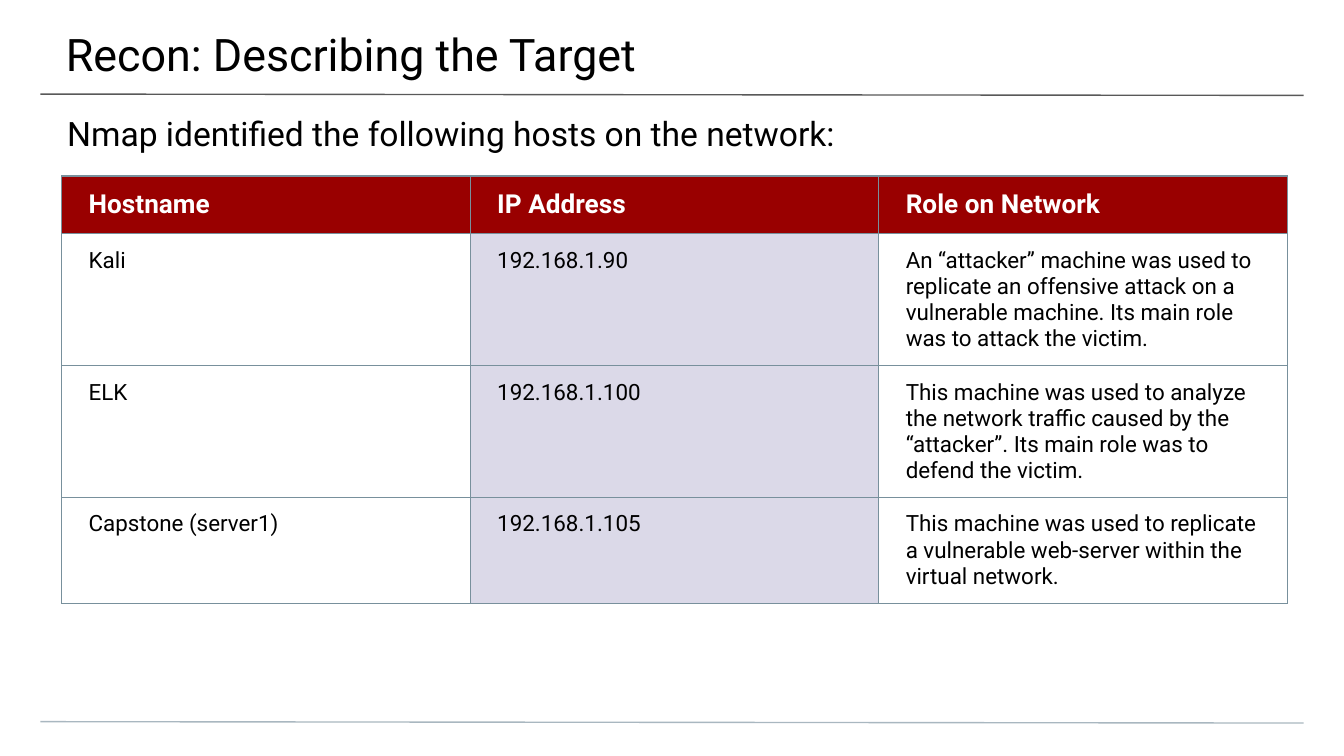
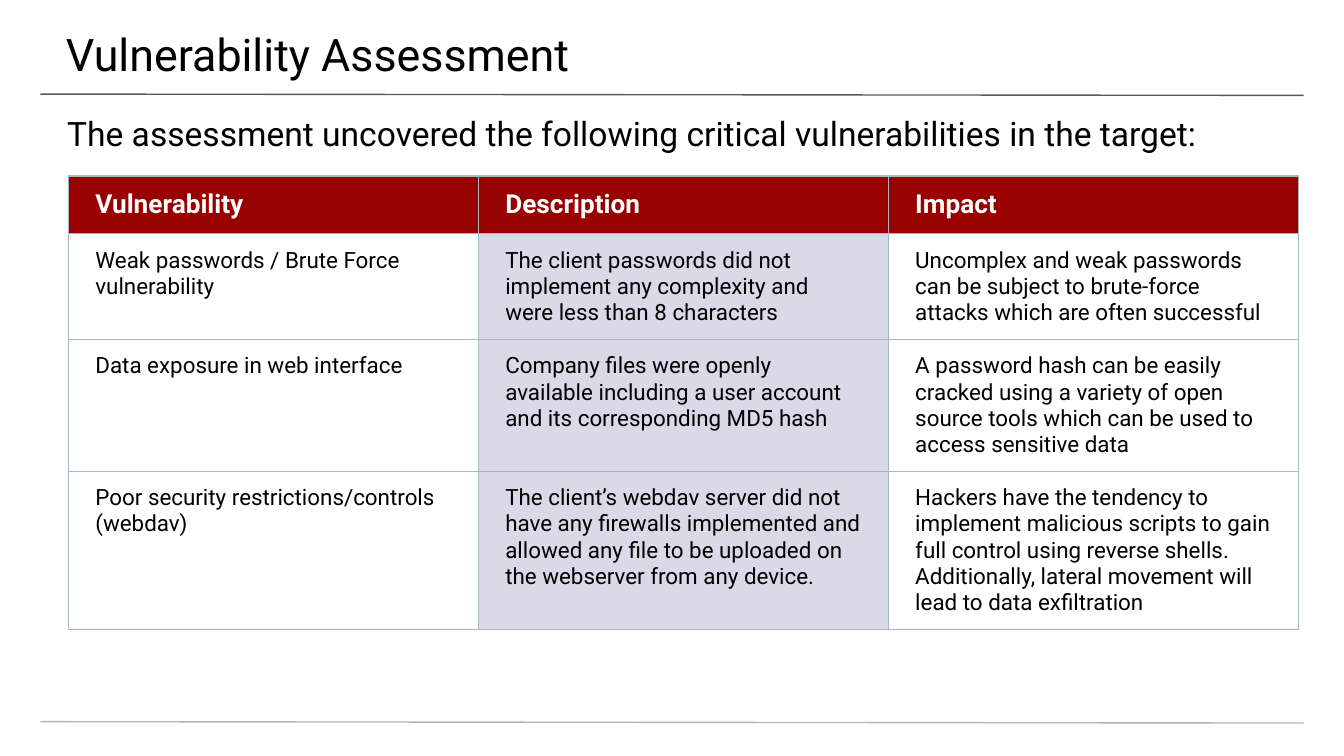
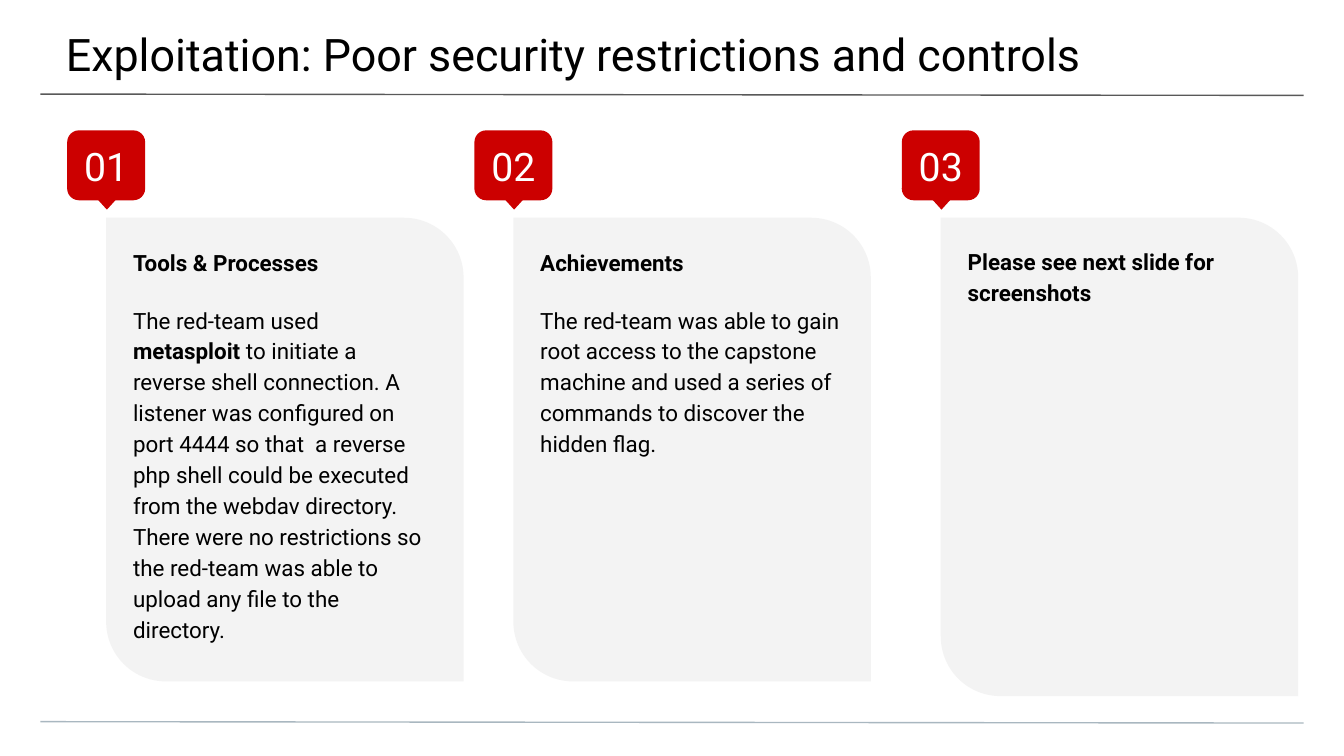
from dataclasses import dataclass

from lxml.etree import SubElement
from pptx import Presentation
from pptx.dml.color import RGBColor
from pptx.enum.shapes import MSO_CONNECTOR, MSO_SHAPE
from pptx.enum.text import MSO_ANCHOR, MSO_AUTO_SIZE, PP_ALIGN
from pptx.oxml.ns import qn
from pptx.util import Emu, Pt

EMU_PER_PX = 9144  # 100 px to the inch
PAGE_WIDTH = 1000
NO_TABLE_STYLE = "{2D5ABB26-0587-4C30-8999-92F81FD0307C}"
BORDER_SIDES = ("a:lnL", "a:lnR", "a:lnT", "a:lnB")


@dataclass(frozen=True)
class Theme:
    font: str = "Roboto"
    ink: str = "000000"
    paper: str = "FFFFFF"
    title_rule: str = "595959"
    footer_rule: str = "A9B7C0"
    header: str = "990000"
    middle_column: str = "DBD9E8"
    card: str = "F3F3F3"
    badge: str = "CC0000"
    title_size: int = 24
    badge_size: int = 21
    subtitle_size: int = 18
    header_size: int = 14
    body_size: int = 12
    rule_width: float = 0.75
    card_line_spacing: float = 1.15
    heading_gap: float = 14.5


THEME = Theme()


@dataclass(frozen=True)
class Area:
    left: int
    top: int
    width: int
    height: int

    def emu(self) -> list[Emu]:
        return [px(n) for n in (self.left, self.top, self.width, self.height)]


@dataclass(frozen=True)
class Span:
    text: str
    bold: bool = False


@dataclass(frozen=True)
class TablePage:
    title: str
    subtitle: str
    left: int
    column_width: int
    row_heights: tuple[int, ...]
    border: str
    rows: tuple[tuple[str, ...], ...]


@dataclass(frozen=True)
class Card:
    number: str
    left: int
    height: int
    text_width: int
    paragraphs: tuple[tuple[Span, ...], ...]


TABLE_PAGES = (
    TablePage(
        "Recon: Describing the Target",
        "Nmap identified the following hosts on the network:",
        46, 304, (41, 96, 96, 79), "78909C",
        (
            ("Hostname", "IP Address", "Role on Network"),
            ("Kali", "192.168.1.90",
             "An “attacker” machine was used to replicate an offensive attack on a "
             "vulnerable machine. Its main role was to attack the victim."),
            ("ELK", "192.168.1.100",
             "This machine was used to analyze the network traffic caused by the "
             "“attacker”. Its main role was to defend the victim."),
            ("Capstone (server1)", "192.168.1.105",
             "This machine was used to replicate a vulnerable web-server within the "
             "virtual network."),
        ),
    ),
    TablePage(
        "Vulnerability Assessment",
        "The assessment uncovered the following critical vulnerabilities in the target:",
        51, 305, (30, 55, 68, 82), THEME.footer_rule,
        (
            ("Vulnerability", "Description", "Impact"),
            ("Weak passwords / Brute Force vulnerability",
             "The client passwords did not implement any complexity and were less than "
             "8 characters",
             "Uncomplex and weak passwords can be subject to brute-force attacks which "
             "are often successful"),
            ("Data exposure in web interface",
             "Company files were openly available including a user account and its "
             "corresponding MD5 hash",
             "A password hash can be easily cracked using a variety of open source tools "
             "which can be used to access sensitive data"),
            ("Poor security restrictions/controls (webdav)",
             "The client’s webdav server did not have any firewalls implemented and "
             "allowed any file to be uploaded on the webserver from any device.",
             "Hackers have the tendency to implement malicious scripts to gain full "
             "control using reverse shells. Additionally, lateral movement will lead to "
             "data exfiltration"),
        ),
    ),
)

CARDS_TITLE = "Exploitation: Poor security restrictions and controls"
CARDS = (
    Card("01", 79, 345, 259, (
        (Span("Tools & Processes", True),),
        (Span("The red-team used "), Span("metasploit ", True),
         Span("to initiate a reverse shell connection. A listener was configured on port "
              "4444 so that  a reverse php shell could be executed from the webdav "
              "directory. There were no restrictions so the red-team was able to upload "
              "any file to the directory.")),
    )),
    Card("02", 382, 345, 266, (
        (Span("Achievements", True),),
        (Span("The red-team was able to gain root access to the capstone machine and used "
              "a series of commands to discover the hidden flag."),),
    )),
    Card("03", 700, 356, 259, (
        (Span("Please see next slide for screenshots", True),),
    )),
)


def px(length: int) -> Emu:
    return Emu(length * EMU_PER_PX)


def color(code: str) -> RGBColor:
    return RGBColor.from_string(code)


def add_span(para, span: Span, size: int, ink: str = THEME.ink) -> None:
    run = para.add_run()
    run.text = span.text
    run.font.name = THEME.font
    run.font.size = Pt(size)
    run.font.bold = span.bold
    run.font.color.rgb = color(ink)


def set_margins(holder, left: int, top: int, right: int, bottom: int) -> None:
    """Inset the text of a text frame or a table cell."""
    holder.margin_left, holder.margin_top = px(left), px(top)
    holder.margin_right, holder.margin_bottom = px(right), px(bottom)


def prepare_frame(box, margins: tuple[int, int, int, int], anchor=MSO_ANCHOR.TOP):
    frame = box.text_frame
    frame.word_wrap = True
    frame.auto_size = MSO_AUTO_SIZE.NONE
    frame.vertical_anchor = anchor
    set_margins(frame, *margins)
    return frame


def add_rule(page, top: int, ink: str) -> None:
    """Draw a page-wide line that falls by one px."""
    rule = page.shapes.add_connector(
        MSO_CONNECTOR.STRAIGHT, px(30), px(top), px(PAGE_WIDTH - 30), px(top + 1))
    rule.line.color.rgb = color(ink)
    rule.line.width = Pt(THEME.rule_width)
    SubElement(rule.element.spPr, qn("a:effectLst"))


def add_page(deck, title: str):
    page = deck.slides.add_slide(deck.slide_layouts[5])
    add_rule(page, 70, THEME.title_rule)
    add_rule(page, 537, THEME.footer_rule)
    box = page.shapes.title
    box.left, box.top, box.width, box.height = Area(-1, 0, 1003, 58).emu()
    para = prepare_frame(box, (50, 20, 30, 10)).paragraphs[0]
    para.alignment = PP_ALIGN.LEFT
    add_span(para, Span(title), THEME.title_size)
    return page


def add_subtitle(page, text: str) -> None:
    box = page.shapes.add_textbox(*Area(0, 74, PAGE_WIDTH, 40).emu())
    para = prepare_frame(box, (50, 10, 50, 0)).paragraphs[0]
    add_span(para, Span(text), THEME.subtitle_size)


def add_borders(cell, ink: str) -> None:
    properties = cell._tc.get_or_add_tcPr()
    for side in BORDER_SIDES:
        line = SubElement(properties, qn(side), w=str(Pt(THEME.rule_width)))
        fill = SubElement(line, qn("a:solidFill"))
        SubElement(fill, qn("a:srgbClr"), val=ink)


def fill_cell(cell, text: str, is_header: bool, is_middle: bool) -> None:
    set_margins(cell, 20, 10, 20, 10)
    cell.vertical_anchor = MSO_ANCHOR.MIDDLE if is_header else MSO_ANCHOR.TOP
    if is_header or is_middle:
        cell.fill.solid()
        cell.fill.fore_color.rgb = color(THEME.header if is_header else THEME.middle_column)
    else:
        cell.fill.background()
    para = cell.text_frame.paragraphs[0]
    if is_header:
        add_span(para, Span(text, True), THEME.header_size, THEME.paper)
    else:
        add_span(para, Span(text), THEME.body_size)


def add_table_page(deck, content: TablePage) -> None:
    page = add_page(deck, content.title)
    add_subtitle(page, content.subtitle)
    column_count = len(content.rows[0])
    area = Area(content.left, 131, column_count * content.column_width,
                sum(content.row_heights))
    holder = page.shapes.add_table(len(content.rows), column_count, *area.emu())
    for style in holder.element.iter(qn("a:tableStyleId")):
        style.text = NO_TABLE_STYLE
    table = holder.table
    table.horz_banding = False
    for column in table.columns:
        column.width = px(content.column_width)
    for row_index, texts in enumerate(content.rows):
        table.rows[row_index].height = px(content.row_heights[row_index])
        for column_index, text in enumerate(texts):
            cell = table.cell(row_index, column_index)
            add_borders(cell, content.border)
            fill_cell(cell, text, row_index == 0, column_index == 1)


def add_plain_shape(shapes, kind, area: Area, fill: str):
    shape = shapes.add_shape(kind, *area.emu())
    shape.shadow.inherit = False
    shape.fill.solid()
    shape.fill.fore_color.rgb = color(fill)
    shape.line.fill.background()
    return shape


def add_badge(page, number: str, left: int) -> None:
    """Group a numbered tile with the pointer below it."""
    shapes = page.shapes.add_group_shape().shapes
    tile = add_plain_shape(
        shapes, MSO_SHAPE.ROUNDED_RECTANGLE, Area(left, 97, 58, 52), THEME.badge)
    tile.adjustments[0] = 0.167
    para = prepare_frame(tile, (10, 10, 10, 10), MSO_ANCHOR.MIDDLE).paragraphs[0]
    para.alignment = PP_ALIGN.CENTER
    add_span(para, Span(number), THEME.badge_size, THEME.paper)
    pointer = add_plain_shape(
        shapes, MSO_SHAPE.FLOWCHART_EXTRACT, Area(left + 15, 140, 29, 16), THEME.badge)
    pointer.rotation = 180


def add_card(page, card: Card) -> None:
    top = 162
    panel = add_plain_shape(page.shapes, MSO_SHAPE.ROUND_2_DIAG_RECTANGLE,
                            Area(card.left, top, 266, card.height), THEME.card)
    panel.adjustments[0], panel.adjustments[1] = 0, 0.167
    box = page.shapes.add_textbox(
        *Area(card.left, top, card.text_width, card.height).emu())
    frame = prepare_frame(box, (20, 20, 20, 20))
    for index, spans in enumerate(card.paragraphs):
        para = frame.add_paragraph() if index else frame.paragraphs[0]
        para.line_spacing = THEME.card_line_spacing
        if index:
            para.space_before = Pt(THEME.heading_gap)
        for span in spans:
            add_span(para, span, THEME.body_size)
    add_badge(page, card.number, card.left - 29)


def main() -> None:
    deck = Presentation()
    deck.slide_width = px(PAGE_WIDTH)
    deck.slide_height = Emu(deck.slide_width * 9 // 16)
    for content in TABLE_PAGES:
        add_table_page(deck, content)
    page = add_page(deck, CARDS_TITLE)
    for card in CARDS:
        add_card(page, card)
    deck.save("out.pptx")


if __name__ == "__main__":
    main()
